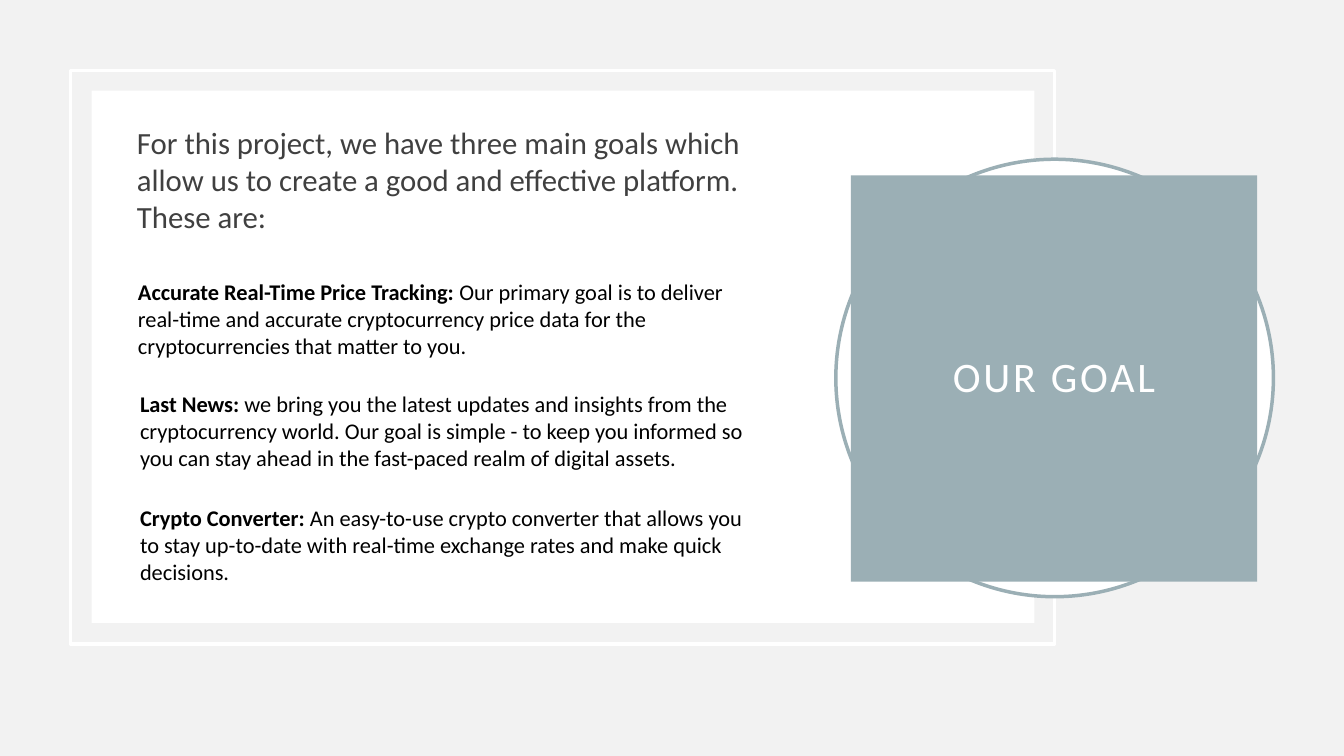
from dataclasses import dataclass

from pptx import Presentation
from pptx.dml.color import RGBColor
from pptx.enum.shapes import MSO_SHAPE
from pptx.enum.text import MSO_ANCHOR, PP_ALIGN
from pptx.util import Inches, Pt


@dataclass(frozen=True)
class Theme:
    font: str = "Calibri"
    background: str = "F2F2F2"
    white: str = "FFFFFF"
    accent: str = "9BAFB5"
    intro: str = "404040"
    body: str = "000000"
    title_size: int = 30
    intro_size: int = 22
    body_size: int = 16
    outline: float = 2.5


theme = Theme()


def add_panel(kind, left, top, width, height, fill=None, line=None):
    panel = page.shapes.add_shape(kind, Inches(left), Inches(top), Inches(width), Inches(height))
    panel.shadow.inherit = False
    if fill:
        panel.fill.solid()
        panel.fill.fore_color.rgb = RGBColor.from_string(fill)
    else:
        panel.fill.background()
    if line:
        panel.line.color.rgb = RGBColor.from_string(line)
        panel.line.width = Pt(theme.outline)
    else:
        panel.line.fill.background()
    return panel


def write_text(box, text, size, color, lead="", align=PP_ALIGN.LEFT, line_spacing=1.0, tracking=0):
    frame = box.text_frame
    frame.word_wrap = True
    frame.vertical_anchor = MSO_ANCHOR.MIDDLE
    para = frame.paragraphs[0]
    para.alignment = align
    para.line_spacing = line_spacing
    for words, bold in ((lead, True), (text, False)):
        if words:
            span = para.add_run()
            span.text = words
            span.font.name = theme.font
            span.font.size = Pt(size)
            span.font.bold = bold
            span.font.color.rgb = RGBColor.from_string(color)
            if tracking:
                span.font._element.set("spc", str(tracking * 100))


deck = Presentation()
deck.slide_width = Inches(13.33)
deck.slide_height = Inches(7.5)
page = deck.slides.add_slide(deck.slide_layouts[6])
page.background.fill.solid()
page.background.fill.fore_color.rgb = RGBColor.from_string(theme.background)

add_panel(MSO_SHAPE.RECTANGLE, 0.7, 0.7, 9.76, 5.69, line=theme.white)
add_panel(MSO_SHAPE.RECTANGLE, 0.91, 0.9, 9.35, 5.28, fill=theme.white)

intro_box = page.shapes.add_textbox(Inches(1.26), Inches(1.39), Inches(6.25), Inches(0.78))
write_text(
    intro_box,
    "For this project, we have three main goals which allow us to create a good and effective platform. These are:",
    theme.intro_size,
    theme.intro,
)

add_panel(MSO_SHAPE.OVAL, 8.29, 1.58, 4.34, 4.34, fill=theme.white, line=theme.accent)
title_box = add_panel(MSO_SHAPE.RECTANGLE, 8.44, 1.74, 4.03, 4.03, fill=theme.accent)
write_text(
    title_box,
    "OUR GOAL",
    theme.title_size,
    theme.white,
    align=PP_ALIGN.CENTER,
    line_spacing=0.9,
    tracking=2,
)

goals = [
    (1.27, 2.77, "Accurate Real-Time Price Tracking:",
     " Our primary goal is to deliver real-time and accurate cryptocurrency price data "
     "for the cryptocurrencies that matter to you."),
    (1.29, 3.88, "Last News:",
     " we bring you the latest updates and insights from the cryptocurrency world. "
     "Our goal is simple - to keep you informed so you can stay ahead in the "
     "fast-paced realm of digital assets."),
    (1.29, 5.01, "Crypto Converter:",
     " An easy-to-use crypto converter that allows you to stay up-to-date with "
     "real-time exchange rates and make quick decisions."),
]
for left, top, lead, text in goals:
    goal_box = page.shapes.add_textbox(Inches(left), Inches(top), Inches(6.25), Inches(0.78))
    write_text(goal_box, text, theme.body_size, theme.body, lead=lead)

deck.save("out.pptx")
